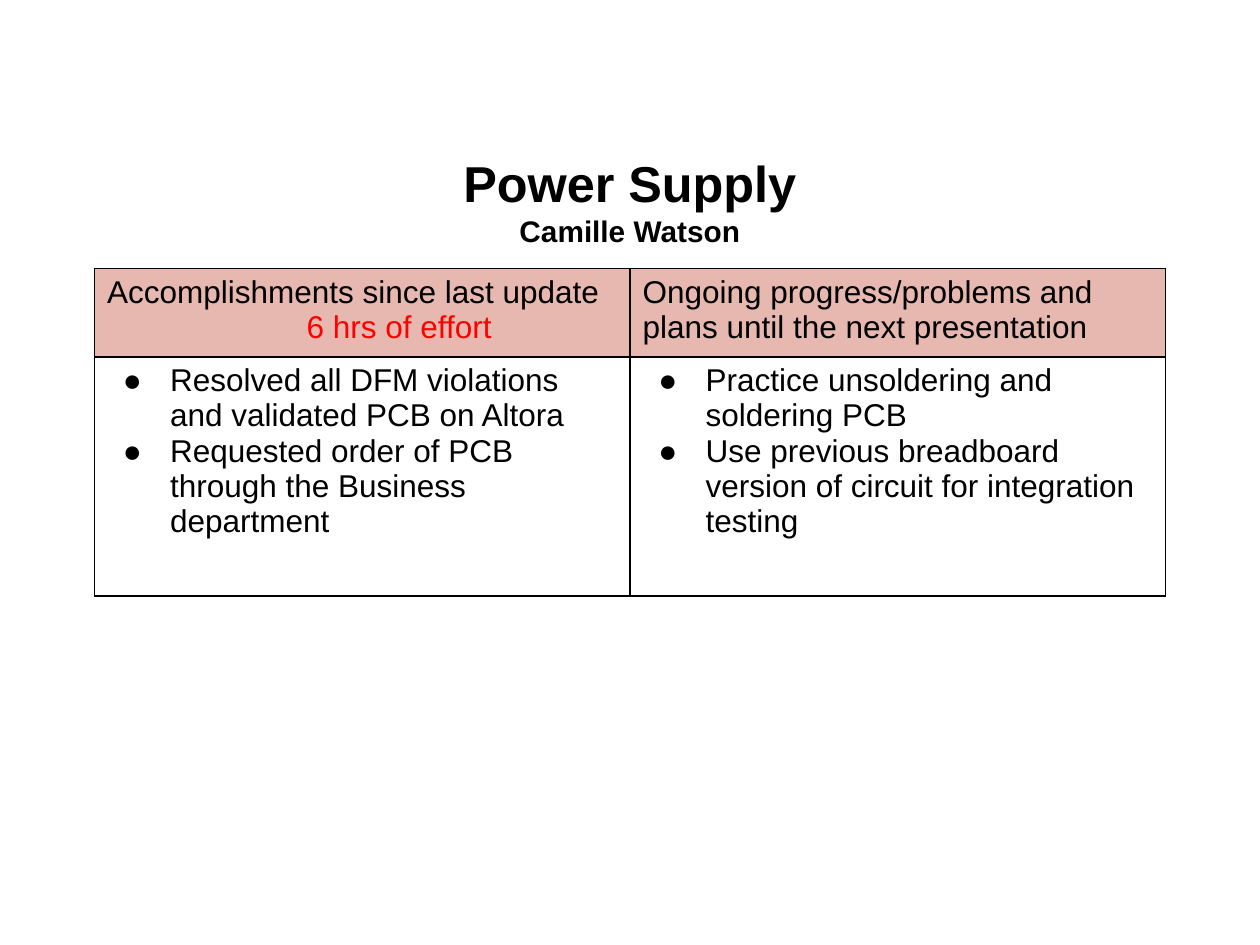
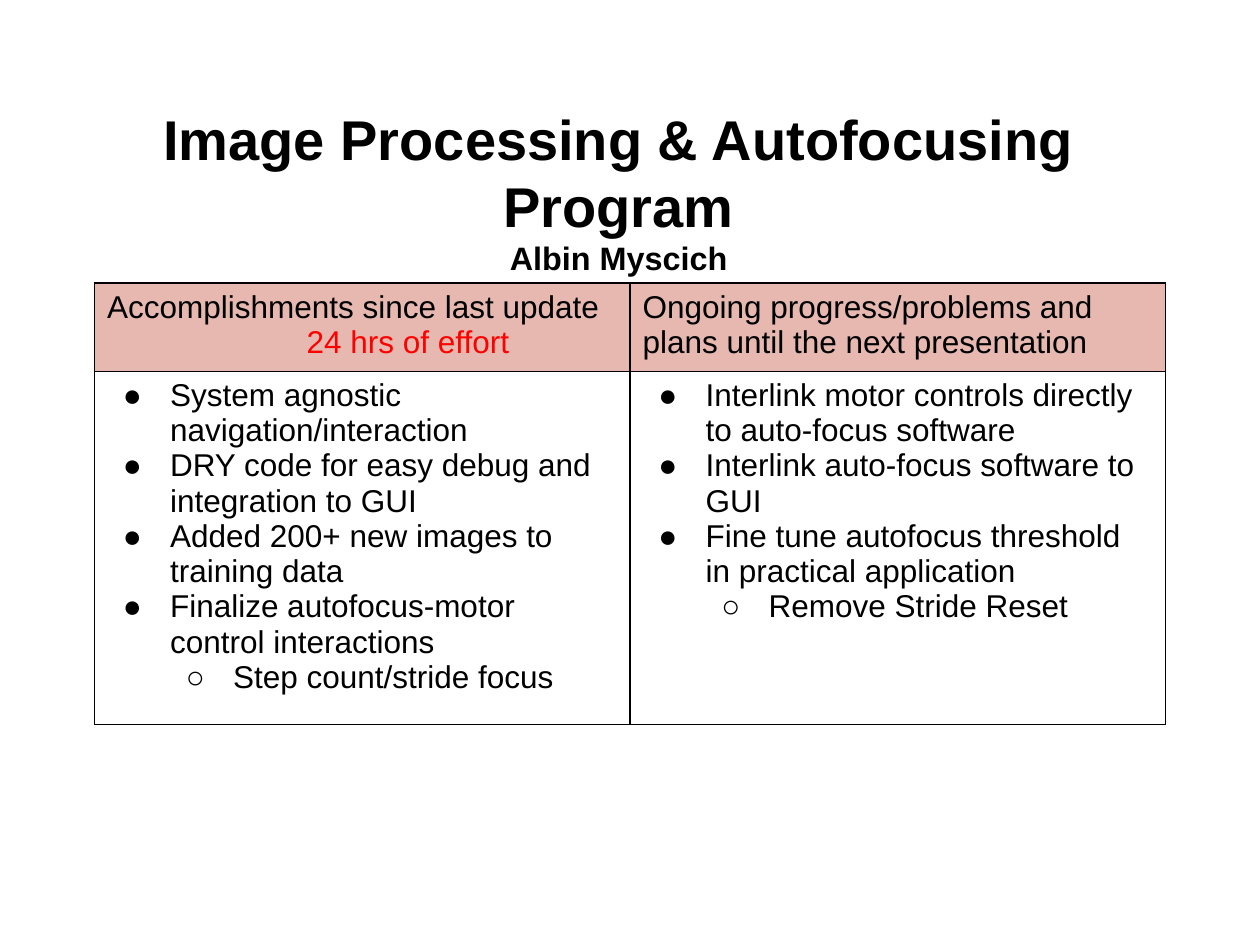
from lxml.etree import SubElement as Sub
from pptx import Presentation
from pptx.dml.color import RGBColor
from pptx.enum.text import MSO_ANCHOR as Anchor, PP_ALIGN as Align
from pptx.oxml.ns import qn
from pptx.util import Pt

# Shared style
FONT = "Arial"
BLACK, RED, PINK = "000000", "FF0000", "E6B8AF"
BODY = 18
LEFT, COL = 54, 306
ROWS = (50.4, 136.8)
BOX = (648, 63.36)
MARKS = "●○"
DONE = "Accomplishments since last update"
NEXT = "Ongoing progress/problems and plans until the next presentation"


def paint(color):
    return RGBColor.from_string(color)


def add_run(par, text, size=BODY, color=BLACK, bold=False):
    run = par.add_run()
    run.text = text
    font = run.font
    font.name, font.size, font.bold = FONT, Pt(size), bold
    font.color.rgb = paint(color)


def next_par(frame, index):
    return frame.add_paragraph() if index else frame.paragraphs[0]


def indent(par, left, hang=0):
    props = par._p.get_or_add_pPr()
    props.set("marL", str(Pt(left)))
    props.set("indent", str(Pt(-hang)))
    return props


def add_bullet(par, level):
    par.level = level
    props = indent(par, 36 * (level + 1), 27)
    tint = Sub(props, qn("a:buClr"))
    Sub(tint, qn("a:srgbClr"), val=BLACK)
    Sub(props, qn("a:buFont"), typeface=FONT)
    Sub(props, qn("a:buChar"), char=MARKS[level])


def add_border(cell):
    props = cell._tc.get_or_add_tcPr()
    for side in "LRTB":
        line = Sub(props, qn(f"a:ln{side}"), w=str(Pt(1)))
        fill = Sub(line, qn("a:solidFill"))
        Sub(fill, qn("a:srgbClr"), val=BLACK)


def add_title(slide, left, top, lines, base=3.6):
    """Centred bold lines, each a (text, size) pair."""
    box = slide.shapes.add_textbox(Pt(left), Pt(top), *map(Pt, BOX))
    frame = box.text_frame
    frame.word_wrap = True
    frame.vertical_anchor = Anchor.MIDDLE
    frame.margin_bottom = Pt(base)
    for i, (text, size) in enumerate(lines):
        par = next_par(frame, i)
        par.alignment = Align.CENTER
        add_run(par, text, size, bold=True)


def fill_list(cell, items):
    """Bulleted items, each a (level, text) pair."""
    for i, (level, text) in enumerate(items):
        par = next_par(cell.text_frame, i)
        add_bullet(par, level)
        add_run(par, text)


def add_status(slide, top, effort, done, plans):
    frame = slide.shapes.add_table(2, 2, Pt(LEFT), Pt(top),
                                   Pt(2 * COL), Pt(sum(ROWS)))
    table = frame.table
    table.first_row = table.horz_banding = False
    for col in table.columns:
        col.width = Pt(COL)
    for row, height in zip(table.rows, ROWS):
        row.height = Pt(height)
    for cell in table.iter_cells():
        add_border(cell)
        cell.fill.background()

    # Header row
    for i, head in enumerate((DONE, NEXT)):
        cell = table.cell(0, i)
        cell.fill.solid()
        cell.fill.fore_color.rgb = paint(PINK)
        add_run(cell.text_frame.paragraphs[0], head)
    hours = table.cell(0, 0).text_frame.add_paragraph()
    indent(hours, 114)
    add_run(hours, effort, color=RED)

    # Body row
    for i, items in enumerate((done, plans)):
        fill_list(table.cell(1, i), items)


def main():
    deck = Presentation()
    deck.slide_width, deck.slide_height = Pt(720), Pt(540)
    blank = deck.slide_layouts[6]

    # Power supply
    slide = deck.slides.add_slide(blank)
    add_status(slide, 153.5, "6 hrs of effort", [
        (0, "Resolved all DFM violations and validated PCB on Altora"),
        (0, "Requested order of PCB through the Business department"),
    ], [
        (0, "Practice unsoldering and soldering PCB"),
        (0, "Use previous breadboard version of circuit for integration "
            "testing"),
    ])
    add_title(slide, 36, 82.8, [("Power Supply", 28.8),
                                ("Camille Watson", 17)])

    # Image processing
    slide = deck.slides.add_slide(blank)
    add_status(slide, 161.8, "24 hrs of effort", [
        (0, "System agnostic navigation/interaction"),
        (0, "DRY code for easy debug and integration to GUI"),
        (0, "Added 200+ new images to training data"),
        (0, "Finalize autofocus-motor control interactions"),
        (1, "Step count/stride focus"),
    ], [
        (0, "Interlink motor controls directly to auto-focus software"),
        (0, "Interlink auto-focus software to GUI"),
        (0, "Fine tune autofocus threshold in practical application"),
        (1, "Remove Stride Reset"),
    ])
    add_title(slide, 29.5, 98.6,
              [("Image Processing & Autofocusing Program", 32),
               ("Albin Myscich", 18.5)], base=46)

    deck.save("out.pptx")


if __name__ == "__main__":
    main()
